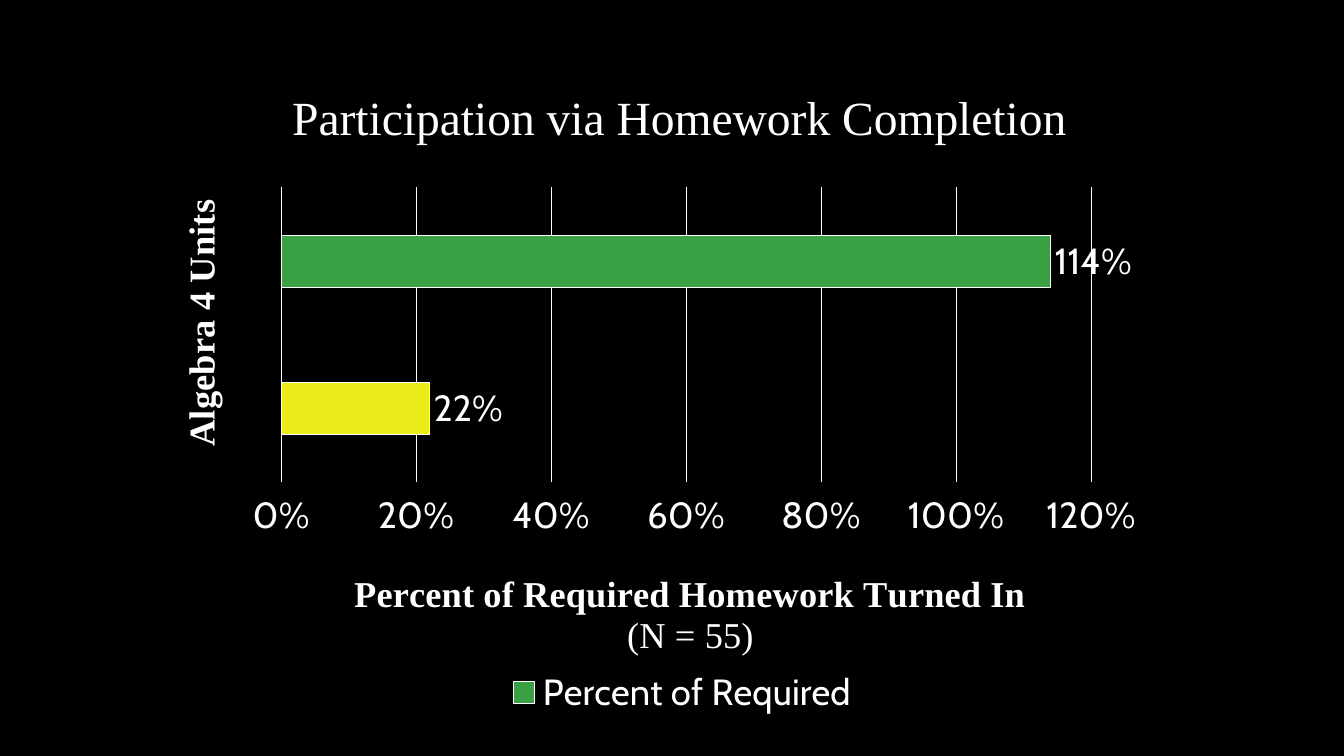
from lxml.etree import SubElement
from pptx import Presentation
from pptx.chart.data import CategoryChartData
from pptx.dml.color import RGBColor as RGB
from pptx.enum.chart import XL_CHART_TYPE as CT, XL_LABEL_POSITION as LP
from pptx.enum.chart import XL_LEGEND_POSITION as LEG, XL_TICK_LABEL_POSITION as TLP
from pptx.enum.chart import XL_TICK_MARK as TM
from pptx.enum.text import MSO_ANCHOR, PP_ALIGN
from pptx.oxml.ns import qn
from pptx.util import Cm, Pt

COLORS = {"back": "000000", "text": "FFFFFF", "done": "3AA044", "low": "EBEB19"}
SERIF = {"name": "Times New Roman", "size": Pt(26), "bold": True}
SANS = {"name": "Cabin", "size": Pt(26), "bold": False}


def color(key):
    return RGB.from_string(COLORS[key])


def set_font(font, style):
    for name, value in style.items():
        setattr(font, name, value)
    font.color.rgb = color("text")


def paint(fmt, key):
    fmt.fill.solid()
    fmt.fill.fore_color.rgb = color(key)
    outline(fmt.line)


def outline(line):
    line.color.rgb = color("text")
    line.width = Pt(0.75)


def place(element, index, **fractions):
    for old in element.findall(qn("c:layout")):
        element.remove(old)
    layout = SubElement(element, qn("c:layout"))
    element.insert(index, layout)
    manual = SubElement(layout, qn("c:manualLayout"))
    if "w" in fractions:
        SubElement(manual, qn("c:layoutTarget")).set("val", "inner")
    for mode in ("xMode", "yMode"):
        SubElement(manual, qn(f"c:{mode}")).set("val", "edge")
    for name, value in fractions.items():
        SubElement(manual, qn(f"c:{name}")).set("val", str(value))


def add_axis_title(axis, lines, x, y):
    title = axis.axis_title
    tf = title.text_frame
    for i, (text, bold) in enumerate(lines):
        p = tf.paragraphs[0] if i == 0 else tf.add_paragraph()
        r = p.add_run()
        r.text = text
        set_font(r.font, SERIF | {"bold": bold})
    place(title._element, 1, x=x, y=y)
    return title


def add_heading(slide, x, y, w, h):
    tf = slide.shapes.add_textbox(x, y, w, h).text_frame
    tf.word_wrap = True
    tf.vertical_anchor = MSO_ANCHOR.BOTTOM
    p = tf.paragraphs[0]
    p.alignment = PP_ALIGN.CENTER
    p.line_spacing = 0.9
    r = p.add_run()
    r.text = "Participation via Homework Completion"
    set_font(r.font, SERIF | {"size": Pt(34), "bold": False})


def format_axes(chart):
    cat, val = chart.category_axis, chart.value_axis
    cat.tick_label_position = TLP.NONE
    cat.major_tick_mark = cat.minor_tick_mark = TM.NONE
    cat.has_major_gridlines = False
    cat.format.line.fill.background()
    title = add_axis_title(cat, [("Algebra 4 Units", True)], 0.02, 0.03)
    title._element.find(f".//{qn('a:bodyPr')}").set("rot", "-5400000")

    limits = {"minimum_scale": 0, "maximum_scale": 1.2, "major_unit": 0.2}
    for name, value in limits.items():
        setattr(val, name, value)
    val.tick_labels.number_format = "0%"
    val.tick_labels.number_format_is_linked = False
    set_font(val.tick_labels.font, SANS)
    val.format.line.fill.background()
    outline(val.major_gridlines.format.line)
    add_axis_title(val, [("Percent of Required Homework Turned In", True),
                         ("(N = 55)", False)], 0.2, 0.72)


def format_bars(plot):
    plot.gap_width = 182
    plot.vary_by_categories = False
    series = plot.series[0]
    paint(series.format, "done")
    for i, key in enumerate(("low", "done")):
        paint(series.points[i].format, key)
    labels = series.data_labels
    labels.show_value = True
    labels.number_format = "0%"
    labels.number_format_is_linked = False
    labels.position = LP.OUTSIDE_END
    set_font(labels.font, SANS)
    label = series.points[1].data_label
    r = label.text_frame.paragraphs[0].add_run()
    r.text = "114%"
    set_font(r.font, SANS)
    label.position = LP.OUTSIDE_END


def add_homework_chart(slide, x, y, w, h):
    data = CategoryChartData(number_format="0%")
    data.categories = ["1", "2"]
    data.add_series("Percent of Required", (0.22, 1.14))
    chart = slide.shapes.add_chart(CT.BAR_CLUSTERED, x, y, w, h, data).chart
    chart.has_title = False
    set_font(chart.font, SANS | {"size": Pt(10)})
    format_axes(chart)
    format_bars(chart.plots[0])
    place(chart._chartSpace.find(f".//{qn('c:plotArea')}"), 0,
          x=0.13, y=0.02, w=0.81, h=0.54)
    chart.has_legend = True
    chart.legend.position = LEG.BOTTOM
    chart.legend.include_in_layout = False
    set_font(chart.legend.font, SANS)
    place(chart.legend._element, 1, x=0.35, y=0.89)


def main():
    prs = Presentation()
    prs.slide_width, prs.slide_height = Cm(33.87), Cm(19.05)
    slide = prs.slides.add_slide(prs.slide_layouts[6])
    slide.background.fill.solid()
    slide.background.fill.fore_color.rgb = color("back")
    add_heading(slide, Cm(3.58), Cm(1.07), Cm(27.1), Cm(2.74))
    add_homework_chart(slide, Cm(3.81), Cm(4.45), Cm(25.2), Cm(13.77))
    prs.save("out.pptx")


if __name__ == "__main__":
    main()
